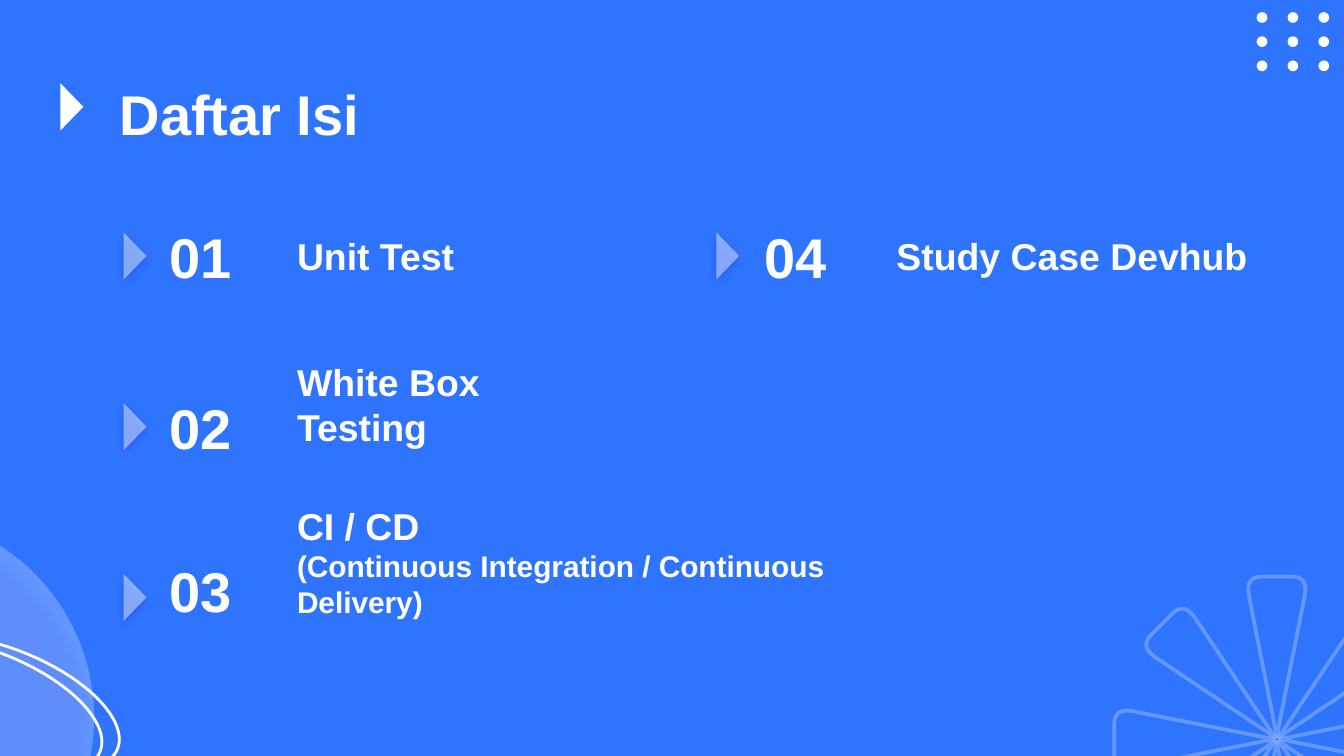
from math import cos, radians, sin

from lxml.etree import SubElement
from pptx import Presentation
from pptx.dml.color import RGBColor
from pptx.enum.shapes import MSO_SHAPE as Preset
from pptx.enum.text import MSO_ANCHOR as Anchor, MSO_AUTO_SIZE as AutoSize, PP_ALIGN as Align
from pptx.oxml.ns import qn
from pptx.util import Inches, Pt

WHITE = "FFFFFF"
BLUE = "2F74FF"
SHADOW = "0F27E6"

COLUMNS = [  # left edges of marker, number and topic
    (0.83, 1.16, 2.11),
    (5.24, 5.59, 6.57),
]
ROW_TOP, ROW_STEP, ROW_HEIGHT = 1.64, 1.27, 0.53
TOPICS = [  # column, row, topic width, number top offset, text
    (0, 0, 2.52, 0, "Unit Test"),
    (0, 1, 2.52, 0, "White Box Testing"),
    (0, 2, 4.94, -0.05, "CI / CD\v(Continuous Integration / Continuous Delivery)"),
    (1, 0, 2.95, 0, "Study Case Devhub"),
]


def paint(fill, color):
    fill.solid()
    fill.fore_color.rgb = RGBColor.from_string(color)


def fade(shape, percent):
    for color in shape._element.spPr.iter(qn("a:srgbClr")):
        SubElement(color, qn("a:alpha"), val=str(percent * 1000))


def cast_shadow(shape, percent, blur, distance, angle):
    effects = shape._element.spPr.find(qn("a:effectLst"))
    outer = SubElement(effects, qn("a:outerShdw"), blurRad=str(Pt(blur)), dist=str(Pt(distance)),
                       dir=str(angle * 60000), algn="bl", rotWithShape="0")
    color = SubElement(outer, qn("a:srgbClr"), val=SHADOW)
    SubElement(color, qn("a:alpha"), val=str(percent * 1000))


def place(shape, left, top, width, height):
    shape.left, shape.top = Inches(left), Inches(top)
    shape.width, shape.height = Inches(width), Inches(height)


def add_solid(slide, preset, box, rotation=0, opacity=100):
    shape = slide.shapes.add_shape(preset, *map(Inches, box))
    shape.rotation = rotation
    shape.shadow.inherit = False
    paint(shape.fill, WHITE)
    shape.line.fill.background()
    if opacity < 100:
        fade(shape, opacity)
    return shape


def outline(shape, width):
    shape.shadow.inherit = False
    shape.fill.background()
    paint(shape.line.fill, WHITE)
    shape.line.width = Pt(width)


def write(box, text, sizes, anchor):
    frame = box.text_frame
    frame.word_wrap = True
    frame.auto_size = AutoSize.NONE
    frame.vertical_anchor = anchor
    frame.margin_left = frame.margin_right = Inches(0.1)
    frame.margin_top = frame.margin_bottom = Inches(0.1)
    paragraph = frame.paragraphs[0]
    paragraph.text = text
    paragraph.alignment = Align.LEFT
    paragraph.line_spacing = 1.0
    paragraph.space_before = Pt(0)
    properties = paragraph._p.get_or_add_pPr()
    properties.set("marL", "0")
    properties.set("indent", "0")
    SubElement(properties, qn("a:buNone"))
    for run, size in zip(paragraph.runs, sizes):
        run.font.name = "Arial"
        run.font.size = Pt(size)
        run.font.bold = True
        run.font.color.rgb = RGBColor.from_string(WHITE)


def add_marker(slide, left, top, opacity=100):
    return add_solid(slide, Preset.ISOSCELES_TRIANGLE, (left, top, 0.35, 0.17), 90, opacity)


def petal_outline():
    """Upright petal around (0, 0), with its outer corners rounded."""
    side, corner, end = (-0.21, -1.08), (-0.23, -1.21), (-0.11, -1.21)
    curve = []
    for step in range(9):
        t = step / 8
        curve.append(tuple((1 - t) ** 2 * a + 2 * t * (1 - t) * b + t * t * c
                           for a, b, c in zip(side, corner, end)))
    return [(0, -0.02)] + curve + [(-x, y) for x, y in reversed(curve)]


def add_flower(slide, center_x, center_y):
    builder = None
    for turn in range(8):
        angle = radians(45 * turn)
        points = [(Inches(center_x + x * cos(angle) - y * sin(angle)),
                   Inches(center_y + x * sin(angle) + y * cos(angle)))
                  for x, y in petal_outline()]
        if builder is None:
            builder = slide.shapes.build_freeform(*points[0])
        else:
            builder.move_to(*points[0])
        builder.add_line_segments(points[1:], close=True)
    flower = builder.convert_to_shape()
    outline(flower, 2)
    fade(flower, 25)


def add_decorations(slide):
    # Soft circle at the lower left
    circle = add_solid(slide, Preset.OVAL, (-2.34, 3.82, 3.04, 3.04), 229, 25)
    cast_shadow(circle, 50, 4.5, 6.8, 122)
    # Dot grid at the upper right
    for row in range(3):
        for column in range(3):
            add_solid(slide, Preset.OVAL,
                      (9.35 + 0.23 * column, 0.09 + 0.18 * row, 0.08, 0.08))
    add_flower(slide, 9.5, 5.5)
    # Pair of tilted rings
    for left, top in ((-1, 4.85), (-0.87, 4.83)):
        ring = slide.shapes.add_shape(Preset.OVAL, *map(Inches, (left, top, 1.81, 0.81)))
        ring.rotation = 21.9
        outline(ring, 1.5)


def add_topic(slide, placeholder, number, topic):
    column, row, width, offset, text = topic
    marker_left, number_left, topic_left = COLUMNS[column]
    top = ROW_TOP + ROW_STEP * row

    marker = add_marker(slide, marker_left, top + 0.18, 45)
    cast_shadow(marker, 66, 4.5, 1.5, 90)

    label = slide.shapes.add_textbox(*map(Inches, (number_left, top + offset, 0.8, ROW_HEIGHT)))
    write(label, f"{number:02}", [30], Anchor.MIDDLE)

    place(placeholder, topic_left, top, width, ROW_HEIGHT)
    write(placeholder, text, [20, 16], Anchor.BOTTOM)


def main():
    deck = Presentation()
    deck.slide_width, deck.slide_height = Inches(10), Inches(10 * 9 / 16)
    slide = deck.slides.add_slide(deck.slide_layouts.get_by_name("Comparison"))
    paint(slide.background.fill, BLUE)
    add_decorations(slide)

    # Heading
    heading = slide.shapes.title
    place(heading, 0.79, 0.49, 8.43, 0.63)
    write(heading, "Daftar Isi", [30], Anchor.TOP)
    add_marker(slide, 0.36, 0.71)

    # Contents
    for number, topic in enumerate(TOPICS, 1):
        add_topic(slide, slide.placeholders[number], number, topic)

    deck.save("out.pptx")


if __name__ == "__main__":
    main()
